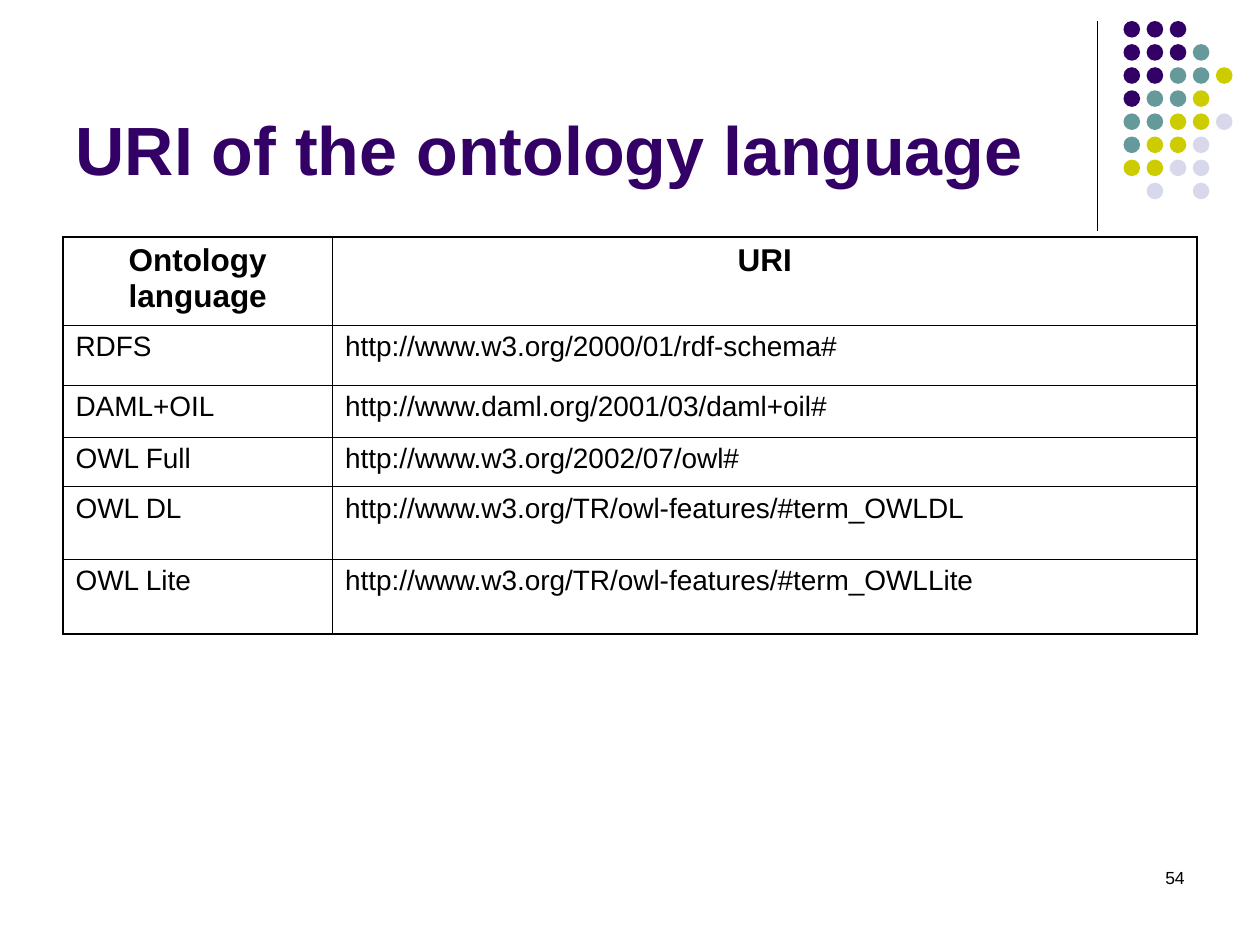
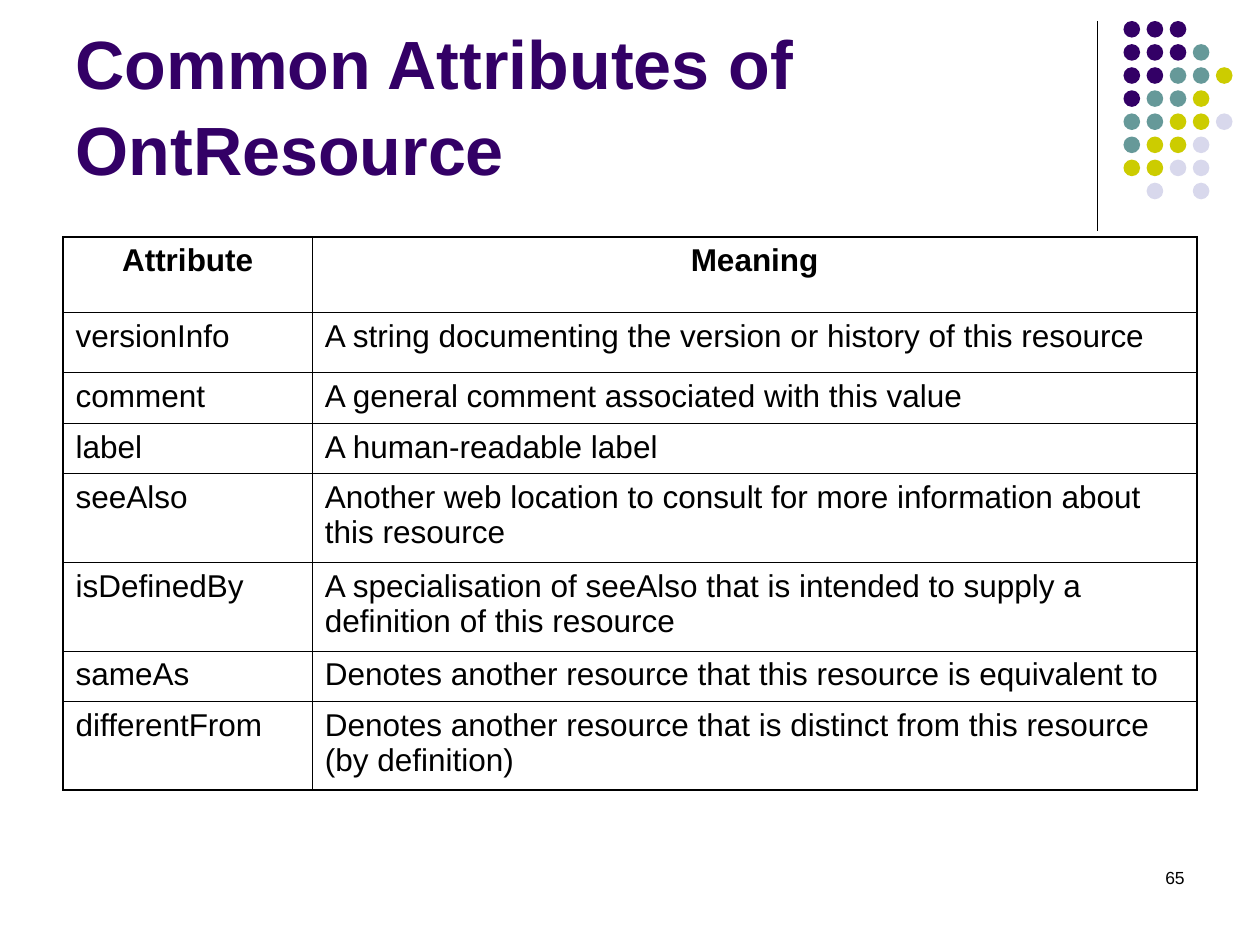
from lxml.etree import SubElement
from pptx import Presentation
from pptx.dml.color import RGBColor
from pptx.enum.shapes import MSO_CONNECTOR, MSO_SHAPE
from pptx.enum.text import MSO_ANCHOR, MSO_AUTO_SIZE, PP_ALIGN
from pptx.oxml.ns import qn
from pptx.util import Pt

BLACK = "000000"
PURPLE = "330066"
DOTS = {"P": PURPLE, "T": "669999", "Y": "CCCC00", "L": "D8D8EC"}
GRID = ["PPP", "PPPT", "PPTTY", "PTTY", "TTYYL", "TYYL", "YYLL", " L L"]

LANGS = [
    ("Ontology language", "URI"),
    ("RDFS", "http://www.w3.org/2000/01/rdf-schema#"),
    ("DAML+OIL", "http://www.daml.org/2001/03/daml+oil#"),
    ("OWL Full", "http://www.w3.org/2002/07/owl#"),
    ("OWL DL", "http://www.w3.org/TR/owl-features/#term_OWLDL"),
    ("OWL Lite", "http://www.w3.org/TR/owl-features/#term_OWLLite"),
]
TRAITS = [
    ("Attribute", "Meaning"),
    ("versionInfo", "A string documenting the version or history of this resource"),
    ("comment", "A general comment associated with this value"),
    ("label", "A human-readable label"),
    ("seeAlso", "Another web location to consult for more information about this resource"),
    ("isDefinedBy", "A specialisation of seeAlso that is intended to supply a definition of this resource"),
    ("sameAs", "Denotes another resource that this resource is equivalent to"),
    ("differentFrom", "Denotes another resource that is distinct from this resource (by definition)"),
]


def color(code):
    return RGBColor.from_string(code)


def write(frame, text, size=18, bold=False, ink=BLACK, align=PP_ALIGN.LEFT, space=None):
    frame.word_wrap = True
    para = frame.paragraphs[0]
    para.alignment = align
    para.line_spacing = space
    run = para.add_run()
    run.text = text
    font = run.font
    font.name = "Arial"
    font.size = Pt(size)
    font.bold = bold
    font.color.rgb = color(ink)


def edge(cell, side, width):
    props = cell._tc.get_or_add_tcPr()
    line = SubElement(props, qn(f"a:ln{side}"), w=str(Pt(width)))
    fill = SubElement(line, qn("a:solidFill"))
    SubElement(fill, qn("a:srgbClr"), val=BLACK)


class Deck:
    thick = 1.08
    thin = 0.45
    left = 36
    width = 648

    def __init__(self):
        self.show = Presentation()
        self.show.slide_width = Pt(720)
        self.show.slide_height = Pt(540)
        self.layout = self.show.slide_layouts[5]
        for holder in list(self.layout.placeholders):
            if holder.placeholder_format.idx:
                holder.element.getparent().remove(holder.element)
        self.slide = None

    def page(self, title, number):
        first = self.slide is None
        self.slide = self.show.slides.add_slide(self.layout)
        if first:
            self.share(self.rule(), self.dots())
        self.title(title)
        self.number(number)

    def share(self, *shapes):
        for shape in shapes:
            self.layout.shapes.element.append(shape.element)

    def rule(self):
        line = self.slide.shapes.add_connector(
            MSO_CONNECTOR.STRAIGHT, Pt(627), Pt(12), Pt(627), Pt(132))
        line.line.color.rgb = color(BLACK)
        line.line.width = Pt(0.75)
        SubElement(line.element.spPr, qn("a:effectLst"))
        return line

    def dots(self):
        group = self.slide.shapes.add_group_shape()
        size, step = 9.5, 13.2
        for row, marks in enumerate(GRID):
            for col, mark in enumerate(marks):
                if mark in DOTS:
                    dot = group.shapes.add_shape(
                        MSO_SHAPE.OVAL, Pt(642 + col * step), Pt(12 + row * step),
                        Pt(size), Pt(size))
                    dot.shadow.inherit = False
                    dot.fill.solid()
                    dot.fill.fore_color.rgb = color(DOTS[mark])
                    dot.line.fill.background()
        return group

    def title(self, text):
        title = self.slide.shapes.title
        title.left, title.top = Pt(self.left), Pt(9.5)
        title.width, title.height = Pt(594), Pt(102)
        frame = title.text_frame
        frame.auto_size = MSO_AUTO_SIZE.NONE
        frame.vertical_anchor = MSO_ANCHOR.BOTTOM
        write(frame, text, size=39, bold=True, ink=PURPLE, space=1.05)

    def number(self, number):
        box = self.slide.shapes.add_textbox(Pt(516), Pt(492), Pt(168), Pt(36))
        write(box.text_frame, str(number), size=10, align=PP_ALIGN.RIGHT)

    def table(self, rows, split, heights, size):
        frame = self.slide.shapes.add_table(
            len(rows), 2, Pt(self.left), Pt(135.5), Pt(self.width), Pt(sum(heights)))
        table = frame.table
        table.first_row = table.horz_banding = False
        for col, width in zip(table.columns, (split, self.width - split)):
            col.width = Pt(width)
        last = len(rows) - 1
        for r, (texts, height) in enumerate(zip(rows, heights)):
            table.rows[r].height = Pt(height)
            for c, text in enumerate(texts):
                cell = table.cell(r, c)
                outer = {"L": c == 0, "R": c == 1, "T": r == 0, "B": r == last}
                for side, bound in outer.items():
                    edge(cell, side, self.thick if bound else self.thin)
                cell.fill.background()
                if r == 0:
                    write(cell.text_frame, text, bold=True, align=PP_ALIGN.CENTER)
                else:
                    write(cell.text_frame, text, size=size)


def main():
    deck = Deck()
    deck.page("URI of the ontology language", 54)
    deck.table(LANGS, 154, [50.4, 34.3, 29.5, 28.5, 41.2, 42.9], size=16)
    deck.page("Common Attributes of OntResource", 65)
    deck.table(TRAITS, 142.5, [43, 34.2, 29.2, 28.7, 50.7, 50.7, 28.7, 50.7], size=18)
    deck.show.save("out.pptx")


if __name__ == "__main__":
    main()
